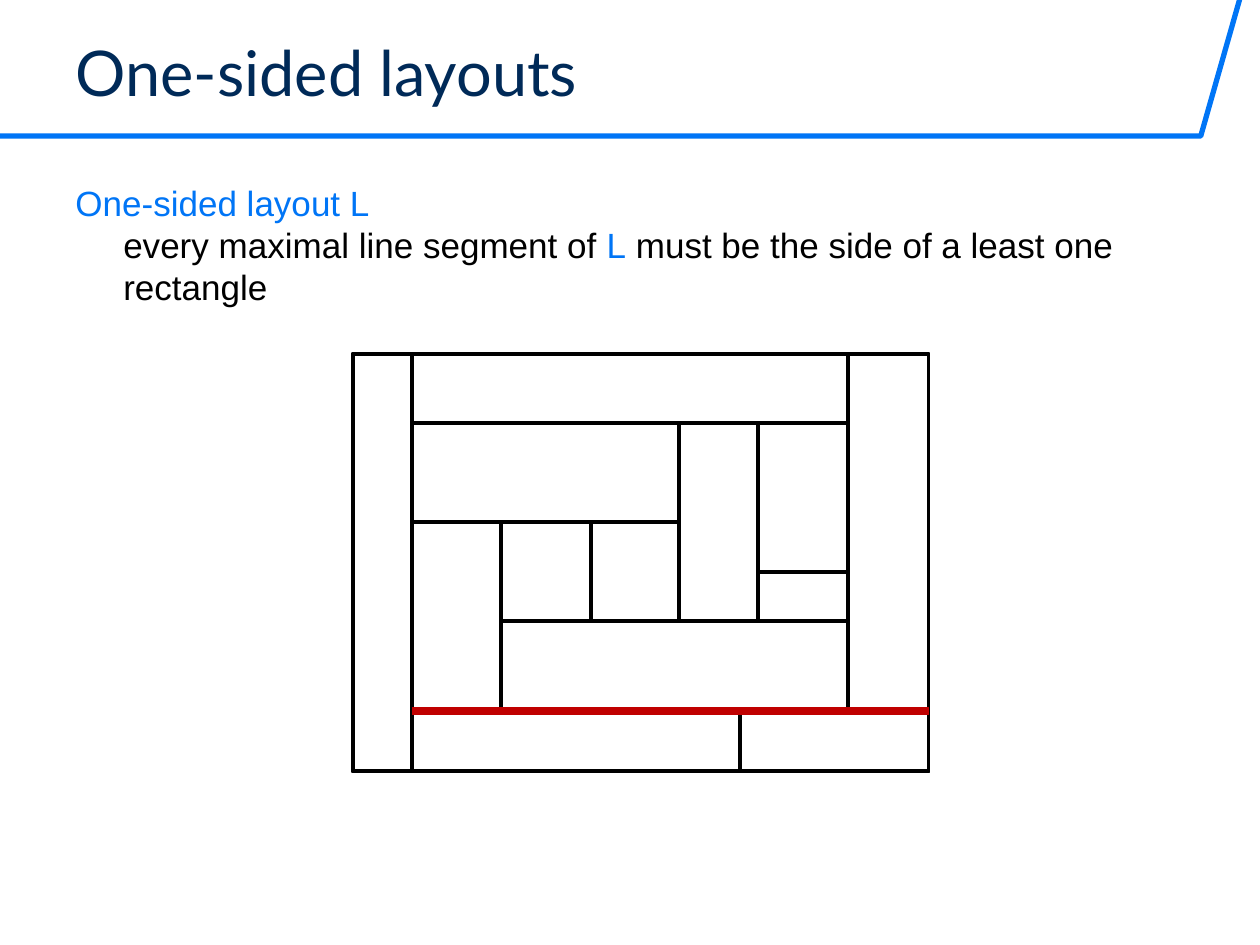
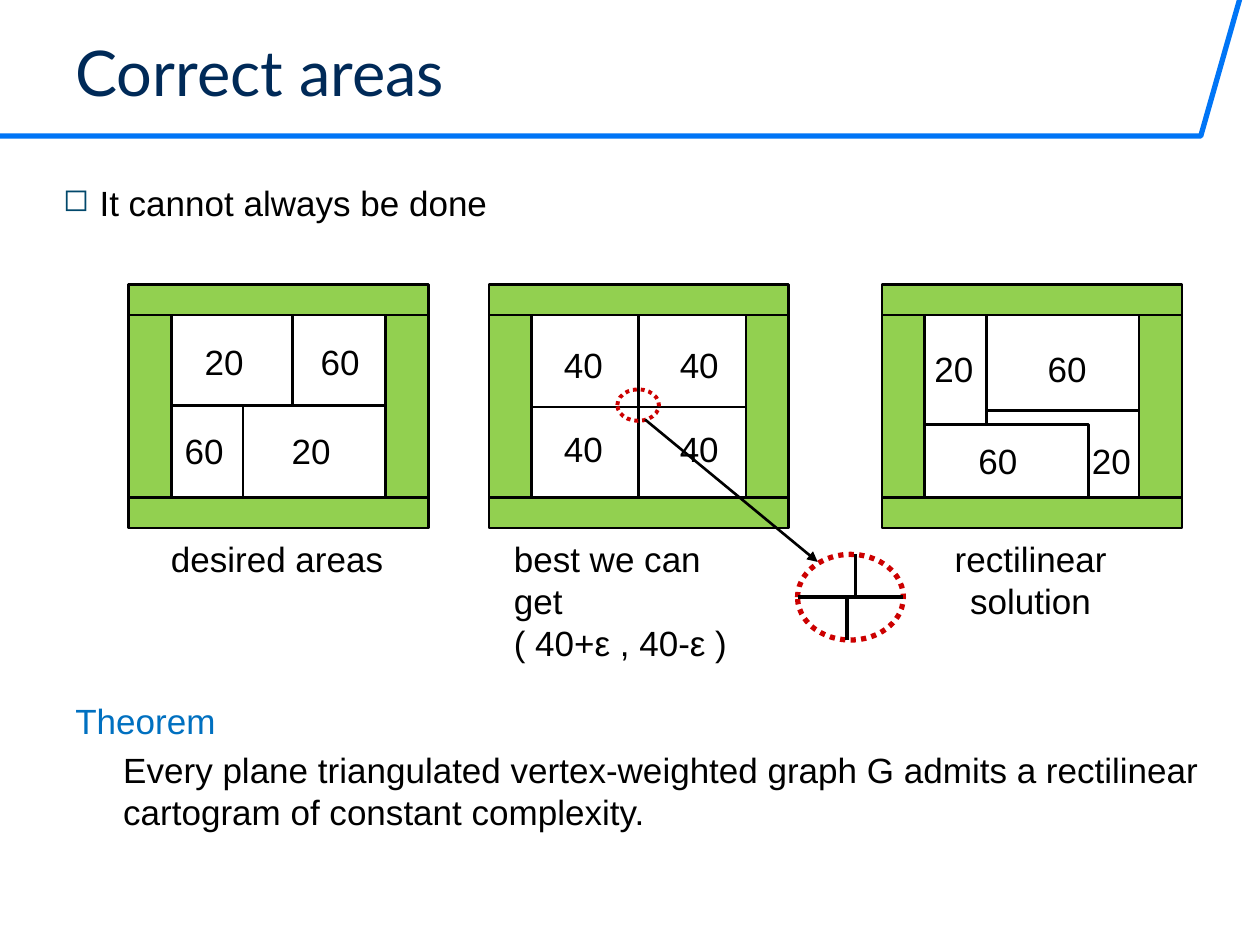
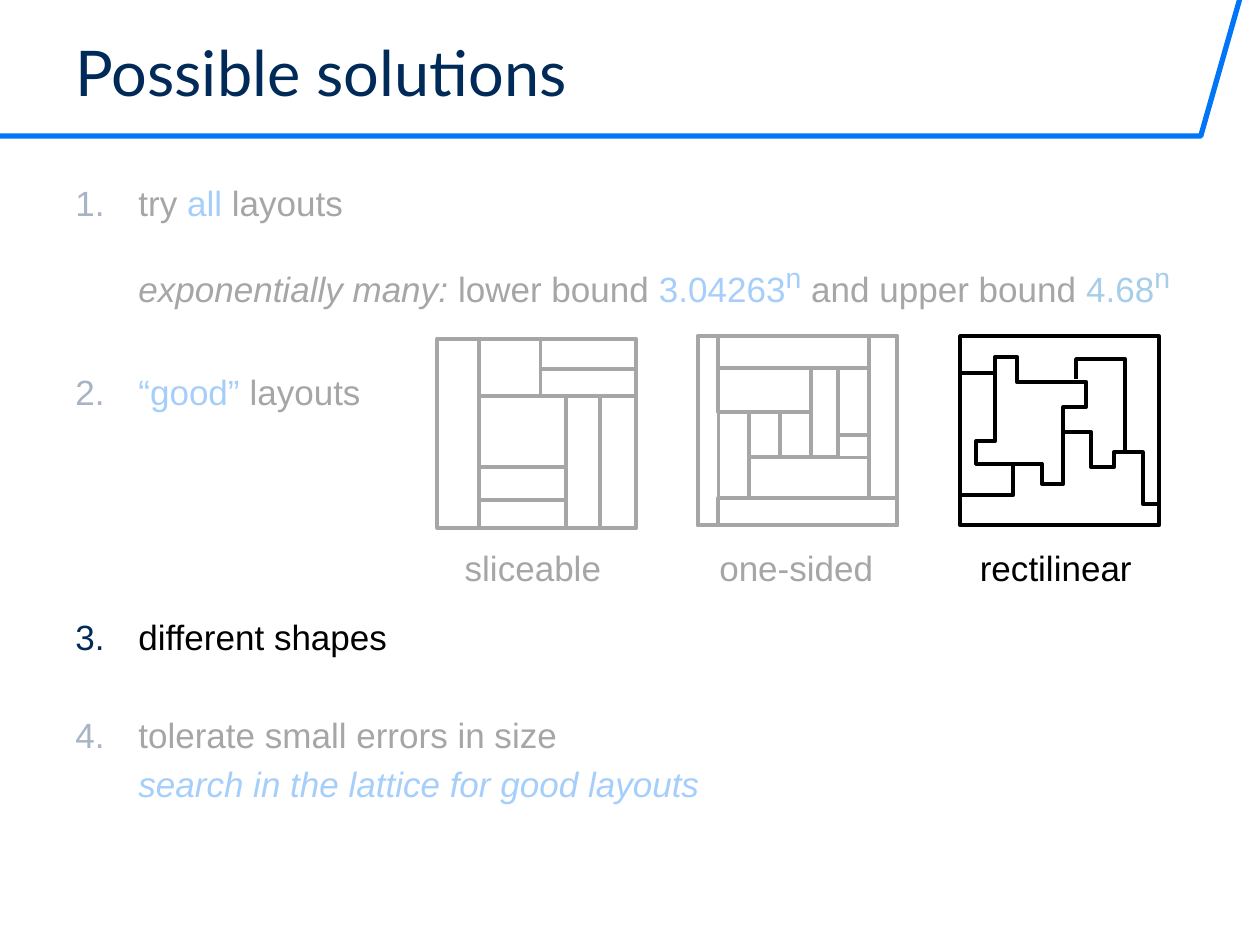
import pptx
import pptx.dml.color
import pptx.enum.dml
import pptx.enum.shapes
import pptx.enum.text
import pptx.oxml
import pptx.oxml.ns
import pptx.util
from lxml import etree

Inches = pptx.util.Inches
Pt = pptx.util.Pt
SHAPES = pptx.enum.shapes.MSO_SHAPE
ALIGN = pptx.enum.text.PP_ALIGN

BLACK, WHITE = "000000", "FFFFFF"
NAVY, BLUE, OCEAN, TEAL = "002A58", "0075F6", "0070C0", "01486B"
GREEN, RED, DARK_RED = "92D050", "CC0000", "C00000"
BODY_FONT, TITLE_FONT = "Arial", "Lato"
TEXT_SIZE = 20

ONE_SIDED_SIZE = (4.57, 3.31)
ONE_SIDED_CELLS = [
    (0, 0, 4.57, 3.31), (0, 0, 0.47, 3.31), (0.47, 2.83, 4.1, 0.48),
    (0.47, 0, 3.46, 0.55), (3.93, 0, 0.64, 2.83), (1.18, 2.12, 2.75, 0.71),
    (0.47, 1.33, 0.71, 1.5), (0.47, 0.55, 2.12, 0.78), (1.18, 1.33, 0.71, 0.79),
    (1.89, 1.33, 0.7, 0.79), (2.59, 0.55, 0.63, 1.57), (3.22, 0.55, 0.71, 1.18),
]
SLICEABLE_CUTS = [
    (0.33, 0, 0.33, 1.49), (0.33, 0.45, 1.57, 0.45), (1.02, 0.45, 1.02, 1.49),
    (0.33, 1.02, 1.02, 1.02), (1.29, 0.45, 1.29, 1.49), (0.82, 0, 0.82, 0.45),
    (0.82, 0.24, 1.57, 0.24), (0.33, 1.28, 1.02, 1.28),
]
RECTILINEAR_PATHS = [
    [(0, 0.29), (0.28, 0.29)],
    [(0.28, 0.83), (0.28, 0.16), (0.45, 0.16), (0.45, 0.36), (1, 0.36), (1, 0.56), (0.82, 0.56),
     (0.82, 1.17), (0.65, 1.17), (0.65, 1.01), (0.13, 1.01), (0.13, 0.83), (0.28, 0.83)],
    [(0.42, 1.01), (0.42, 1.26), (0, 1.26)],
    [(0.92, 0.34), (0.92, 0.18), (1.31, 0.18), (1.31, 0.91)],
    [(0.82, 0.76), (1.04, 0.76), (1.04, 1.04), (1.22, 1.04), (1.22, 0.92),
     (1.45, 0.92), (1.45, 1.33), (1.57, 1.33)],
]


def color(value):
    """Turn a hex string into a colour."""
    return pptx.dml.color.RGBColor.from_string(value)


def add_element(parent, tag, **attributes):
    """Append a drawing element with its attributes."""
    child = etree.SubElement(parent, pptx.oxml.ns.qn(tag))
    for name, value in attributes.items():
        child.set(name, str(value))
    return child


def style_shape(shape, fill, line, weight):
    """Set fill and outline and drop the shadow."""
    shape.shadow.inherit = False
    if fill:
        shape.fill.solid()
        shape.fill.fore_color.rgb = color(fill)
    else:
        shape.fill.background()
    shape.line.color.rgb = color(line)
    shape.line.width = Pt(weight)


def add_box(slide, left, top, width, height, fill=None, line=BLACK, weight=2.25,
            preset=SHAPES.RECTANGLE):
    """Draw a preset shape, a rectangle by default."""
    shape = slide.shapes.add_shape(preset, Inches(left), Inches(top), Inches(width), Inches(height))
    style_shape(shape, fill, line, weight)
    return shape


def add_dotted_ellipse(slide, left, top, width, height, weight):
    """Draw a dotted red ellipse."""
    ellipse = add_box(slide, left, top, width, height, None, RED, weight, SHAPES.OVAL)
    ellipse.line.dash_style = pptx.enum.dml.MSO_LINE.ROUND_DOT


def add_line(slide, x1, y1, x2, y2, line=BLACK, weight=2.25, arrow=False):
    """Draw a straight line, with an arrowhead at its end if asked."""
    connector = slide.shapes.add_connector(
        pptx.enum.shapes.MSO_CONNECTOR.STRAIGHT, Inches(x1), Inches(y1), Inches(x2), Inches(y2))
    connector.line.color.rgb = color(line)
    connector.line.width = Pt(weight)
    if arrow:
        add_element(connector.line._get_or_add_ln(), "a:tailEnd", type="triangle")
    add_element(connector._element.spPr, "a:effectLst")


def add_path(slide, left, top, points, line=BLACK, weight=2.25):
    """Draw an outline through points given relative to a corner."""
    corners = [(Inches(left + x), Inches(top + y)) for x, y in points]
    closed = corners[0] == corners[-1]
    builder = slide.shapes.build_freeform(*corners[0])
    builder.add_line_segments(corners[1:-1] if closed else corners[1:], close=closed)
    style_shape(builder.convert_to_shape(), None, line, weight)


def add_text_box(slide, left, top, width, height, inset=True):
    """Add a wrapping text box and return its frame."""
    box = slide.shapes.add_textbox(Inches(left), Inches(top), Inches(width), Inches(height))
    frame = box.text_frame
    frame.word_wrap = True
    if not inset:
        frame.margin_left = frame.margin_top = frame.margin_right = frame.margin_bottom = 0
    return frame


def add_run(paragraph, text, ink=BLACK, italic=False, superscript=False):
    """Add one run of body text."""
    run = paragraph.add_run()
    run.text = text
    run.font.name = BODY_FONT
    run.font.size = Pt(28 if superscript else TEXT_SIZE)
    run.font.color.rgb = color(ink)
    if italic:
        run.font.italic = True
    if superscript:
        run._r.get_or_add_rPr().set("baseline", "30000")


def add_paragraph(frame, runs, before=0, left=0, hang=0, number=None, bullet=None):
    """Add a paragraph with its indent, marker and runs; None breaks the line."""
    first = frame.paragraphs[0]
    paragraph = frame.add_paragraph() if first.runs else first
    properties = paragraph._p.get_or_add_pPr()
    properties.set("marL", str(Inches(left)))
    properties.set("indent", str(-Inches(hang)))
    if number or bullet:
        marker = add_element(properties, "a:buClr")
        add_element(marker, "a:srgbClr", val=NAVY if number else TEAL)
    if number:
        add_element(properties, "a:buFont", typeface=BODY_FONT)
        add_element(properties, "a:buAutoNum", type="arabicPeriod", startAt=number)
    elif bullet:
        add_element(properties, "a:buSzPct", val=90000)
        add_element(properties, "a:buChar", char=bullet)
    if before:
        paragraph.space_before = Pt(before)
    for run in runs:
        if run is None:
            paragraph.add_line_break()
        else:
            add_run(paragraph, *run)
    return paragraph


def add_label(slide, text, center, top, width=0.7, height=0.43):
    """Add a label centred on a given x."""
    frame = add_text_box(slide, center - width / 2, top, width, height)
    add_paragraph(frame, [(text,)]).alignment = ALIGN.CENTER


def start_slide(presentation, title):
    """Add a slide with its title and the blue band."""
    slide = presentation.slides.add_slide(presentation.slide_layouts[5])
    add_path(slide, 0, 0, [(0, 1.08), (9.53, 1.08), (9.84, -0.01)], BLUE, 3)
    shape = slide.shapes.title
    shape.left, shape.top, shape.width, shape.height = map(Inches, (0.5, 0.21, 9.28, 0.71))
    frame = shape.text_frame
    frame.auto_size = pptx.enum.text.MSO_AUTO_SIZE.NONE
    frame.vertical_anchor = pptx.enum.text.MSO_ANCHOR.BOTTOM
    paragraph = frame.paragraphs[0]
    paragraph.alignment = ALIGN.LEFT
    run = paragraph.add_run()
    run.text = title
    run.font.name = TITLE_FONT
    run.font.size = Pt(36)
    run.font.color.rgb = color(NAVY)
    return slide


def draw_one_sided(slide, left, top, width, height):
    """Draw the one-sided layout scaled into a box."""
    across, down = width / ONE_SIDED_SIZE[0], height / ONE_SIDED_SIZE[1]
    for x, y, cell_width, cell_height in ONE_SIDED_CELLS:
        add_box(slide, left + x * across, top + y * down, cell_width * across, cell_height * down)


def draw_sliceable(slide, left, top, width, height):
    """Draw the sliceable layout in a box."""
    add_box(slide, left, top, width, height)
    for x1, y1, x2, y2 in SLICEABLE_CUTS:
        add_line(slide, left + x1, top + y1, left + x2, top + y2)


def draw_rectilinear(slide, left, top, width, height):
    """Draw the rectilinear layout in a box."""
    add_box(slide, left, top, width, height)
    for points in RECTILINEAR_PATHS:
        add_path(slide, left, top, points)


def draw_cartogram(slide, left, top, cells, numbers):
    """Draw white cells inside a green frame, with their areas."""
    width, side, band, inner = 2.38, 0.34, 0.24, 1.45
    frame = [(0, 0, width, band), (0, band, side, inner),
             (width - side, band, side, inner), (0, band + inner, width, band)]
    for fill, parts in ((WHITE, cells), (GREEN, frame)):
        for x, y, part_width, part_height in parts:
            add_box(slide, left + x, top + y, part_width, part_height, fill, BLACK, 1.5)
    for text, center, y in numbers:
        add_label(slide, text, left + center, top + y)


def draw_magnified_crossing(slide, left, top, width, height):
    """Draw the enlarged crossing with its two shifted lines."""
    middle = top + height / 2
    add_dotted_ellipse(slide, left, top, width, height, 3)
    add_line(slide, left, middle, left + width, middle)
    add_line(slide, left + 0.46, top, left + 0.46, middle)
    add_line(slide, left + 0.39, middle, left + 0.39, top + height)


def add_veil(slide, left, top, width, height):
    """Fade a region with translucent white."""
    veil = add_box(slide, left, top, width, height, WHITE, WHITE)
    tint = veil._element.spPr.find(pptx.oxml.ns.qn("a:solidFill"))[0]
    add_element(tint, "a:alpha", val=65000)


def build_one_sided(presentation):
    """Build the slide on one-sided layouts."""
    slide = start_slide(presentation, "One-sided layouts")
    frame = add_text_box(slide, 0.5, 1.39, 8.92, 1.2)
    add_paragraph(frame, [("One-sided layout L", BLUE), None,
                          ("every maximal line segment of ",), ("L", BLUE),
                          (" must be the side of a least one rectangle",)], left=0.38, hang=0.38)
    left, top = 2.8, 2.81
    draw_one_sided(slide, left, top, *ONE_SIDED_SIZE)
    add_box(slide, left + 3.07, top + 2.83, 1.5, 0.48)
    add_line(slide, left + 0.47, top + 2.83, left + 4.57, top + 2.83, DARK_RED, 4.5)


def build_correct_areas(presentation):
    """Build the slide on correct areas."""
    slide = start_slide(presentation, "Correct areas")
    frame = add_text_box(slide, 0.5, 1.44, 8.92, 0.5, inset=False)
    add_paragraph(frame, [("It cannot always be done",)], left=0.29, hang=0.29, bullet="◻")

    top = 2.26
    draw_cartogram(slide, 1.02, top,
                   [(0.34, 0.96, 0.57, 0.73), (0.91, 0.96, 1.13, 0.73),
                    (1.3, 0.24, 0.74, 0.72), (0.34, 0.24, 0.96, 0.72)],
                   [("60", 0.6, 1.1), ("60", 1.68, 0.39), ("20", 1.45, 1.1), ("20", 0.76, 0.39)])
    draw_cartogram(slide, 3.88, top,
                   [(0.34 + 0.85 * column, 0.24 + 0.73 * row, 0.85, 0.73)
                    for row in range(2) for column in range(2)],
                   [("40", 0.75, 1.08), ("40", 1.67, 0.42), ("40", 1.67, 1.08), ("40", 0.75, 0.42)])
    draw_cartogram(slide, 7, top,
                   [(0.34, 1.11, 1.3, 0.58), (0.82, 0.24, 1.22, 0.76), (0.34, 0.24, 0.49, 0.87)],
                   [("60", 0.92, 1.18), ("60", 1.47, 0.45), ("20", 1.82, 1.18), ("20", 0.57, 0.45)])

    add_label(slide, "desired areas", 2.2, 4.22, 2.1)
    frame = add_text_box(slide, 3.98, 4.22, 2, 1.1)
    add_paragraph(frame, [("best we can get",), None, ("( 40+ε , 40-ε )",)])
    add_label(slide, "rectilinear solution", 8.18, 4.22, 1.53, 0.77)

    add_dotted_ellipse(slide, 4.9, 3.09, 0.33, 0.25, 2.25)
    add_line(slide, 5.12, 3.33, 6.49, 4.46, weight=1.5, arrow=True)
    draw_magnified_crossing(slide, 6.33, 4.4, 0.84, 0.68)

    frame = add_text_box(slide, 0.5, 5.57, 9.16, 1.49)
    add_paragraph(frame, [("Theorem", OCEAN)]).line_spacing = 0.8
    add_paragraph(frame, [("Every plane triangulated vertex-weighted graph G admits a rectilinear "
                           "cartogram of constant complexity.",)], before=4, left=0.38)


def build_solutions(presentation):
    """Build the slide on possible solutions."""
    slide = start_slide(presentation, "Possible solutions")
    frame = add_text_box(slide, 0.5, 1.39, 8.92, 5.51)
    items = [
        (1, 0, [("try ",), ("all", BLUE), (" layouts",)]),
        (None, 17.5, [("exponentially many:", BLACK, True), (" lower bound ",), ("3.04263", BLUE),
                      ("n", BLUE, False, True), (" and upper bound ",), ("4.68", OCEAN),
                      ("n", OCEAN, False, True)]),
        (2, 33, [("“good” ", BLUE), ("layouts",)]),
        (3, 116, [("different shapes",)]),
        (4, 32, [("tolerate small errors in size",)]),
        (None, 4, [("search in the lattice for good layouts", BLUE, True)]),
    ]
    for number, before, runs in items:
        add_paragraph(frame, runs, before, 0.5, 0.5 if number else 0, number)

    layouts = [
        (draw_sliceable, "sliceable", 3.47, 2.69, 4.23),
        (draw_one_sided, "one-sided", 5.54, 2.67, 6.32),
        (draw_rectilinear, "rectilinear", 7.62, 2.67, 8.38),
    ]
    for draw, caption, left, top, center in layouts:
        draw(slide, left, top, 1.58, 1.5)
        add_label(slide, caption, center, 4.29, 1.6)

    add_veil(slide, 0.28, 5.34, 9.45, 1.36)
    add_veil(slide, 0.16, 1.37, 9.45, 1.13)
    add_veil(slide, 0.46, 2.59, 6.81, 2.1)


def main():
    """Build and save the presentation."""
    presentation = pptx.Presentation()
    presentation.slide_width = Inches(10)
    presentation.slide_height = Inches(7.5)
    build_one_sided(presentation)
    build_correct_areas(presentation)
    build_solutions(presentation)
    presentation.save("out.pptx")


if __name__ == "__main__":
    main()
